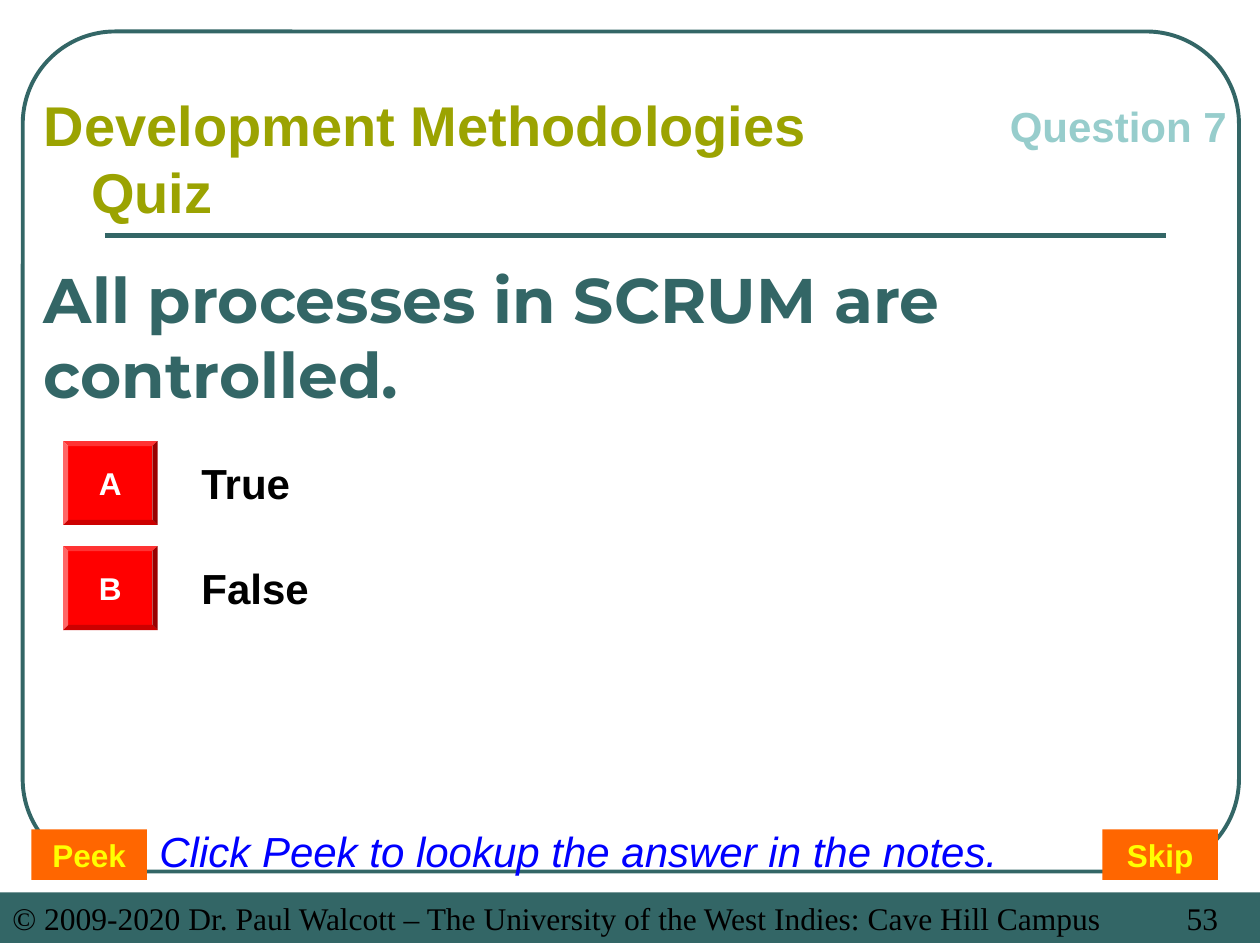
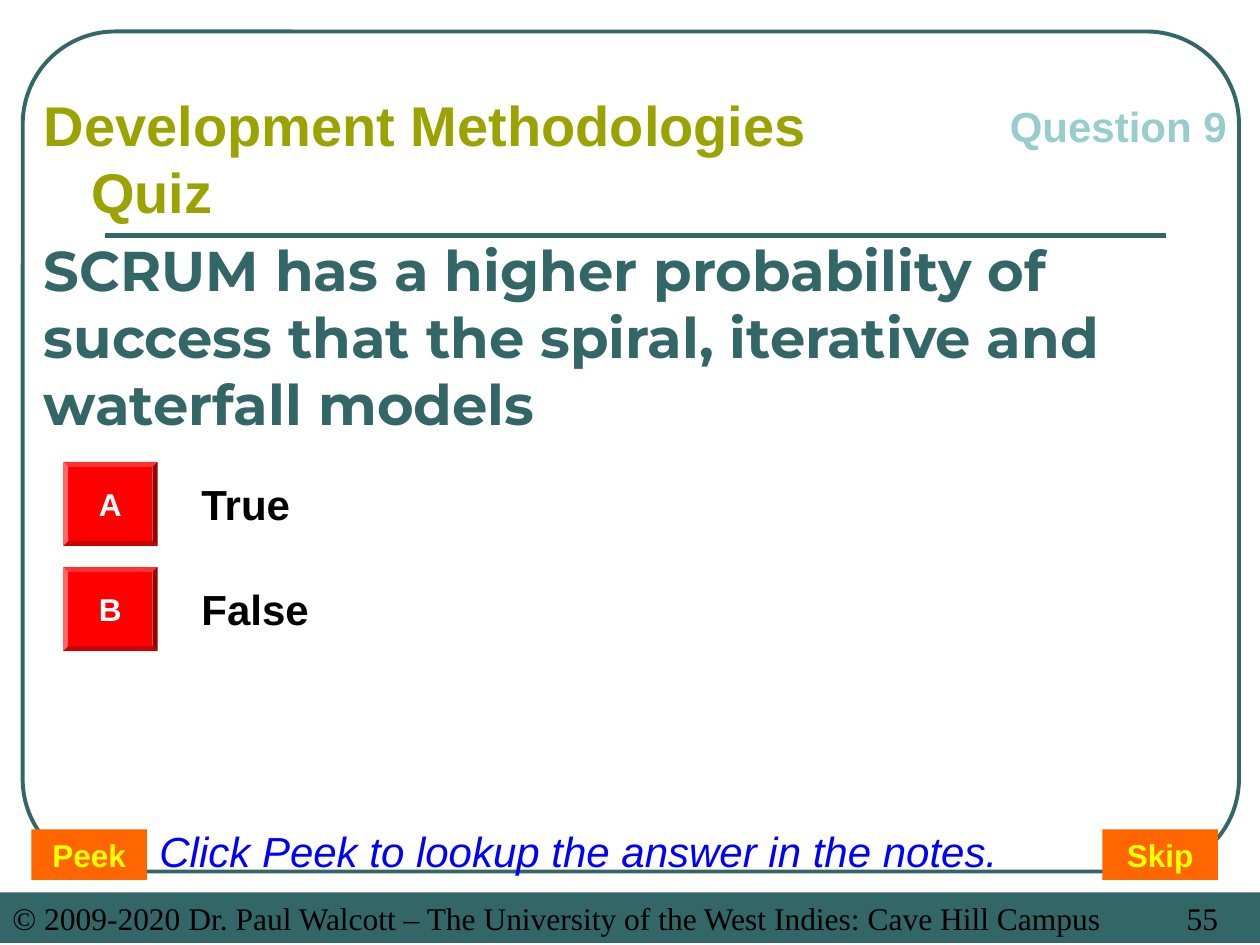
from lxml import etree
from pptx import Presentation
from pptx import util as u
from pptx.dml.color import RGBColor
from pptx.enum import shapes, text
from pptx.oxml import ns

TEAL = "336666"
OLIVE = "9BA301"
MINT = "97CDCC"
RED = "FF0000"
ORANGE = "FF6600"
YELLOW = "FFFF00"
BLUE = "0000FF"
BLACK = "000000"
WHITE = "FFFFFF"

LEFT = text.PP_ALIGN.LEFT
MID = text.PP_ALIGN.CENTER
KIND = shapes.MSO_SHAPE

HEAD = "Development Methodologies Quiz"
HINT = "Click Peek to lookup the answer in the notes."
OWNER = "© 2009-2020 Dr. Paul Walcott – The University of the West Indies: Cave Hill Campus"
QUIZ = [
    (53, 7, "All processes in SCRUM are controlled.", 36, 252),
    (55, 9, "SCRUM has a higher probability of success that the spiral, "
            "iterative and waterfall models", 32, 264),
]


def hue(code):
    """Turn a hex string into a colour."""
    return RGBColor.from_string(code)


class Deck:
    """Holds the style and the current slide."""

    def __init__(self):
        """Start an empty deck of 720 by 540 points."""
        self.prs = Presentation()
        self.prs.slide_width, self.prs.slide_height = u.Pt(720), u.Pt(540)

    def page(self):
        """Add a blank slide and make it current."""
        self.items = self.prs.slides.add_slide(self.prs.slide_layouts[6]).shapes

    def letter(self, shape, words, size, color, font="Arial", bold=True,
               italic=False, align=LEFT, hang=0, tab=0, wrap=True,
               anchor=text.MSO_ANCHOR.TOP):
        """Fill a shape with one styled paragraph."""
        frame = shape.text_frame
        frame.text = words
        frame.word_wrap = wrap
        frame.vertical_anchor = anchor
        para = frame.paragraphs[0]
        para.alignment = align
        props = para._p.get_or_add_pPr()
        if hang:
            props.set("marL", str(u.Pt(hang)))
            props.set("indent", str(-u.Pt(hang)))
        if tab:
            stops = etree.SubElement(props, ns.qn("a:tabLst"))
            etree.SubElement(stops, ns.qn("a:tab"), pos=str(u.Pt(tab)), algn="l")
        for run in para.runs:
            run.font.name, run.font.size = font, u.Pt(size)
            run.font.bold, run.font.italic = bold, italic
            run.font.color.rgb = hue(color)

    def label(self, box, words, size, color, **style):
        """Add a text box."""
        self.letter(self.items.add_textbox(*map(u.Pt, box)), words, size, color, **style)

    def block(self, kind, box, fill=None, line=None, adj=None):
        """Add a preset shape with a fill or an outline."""
        shape = self.items.add_shape(kind, *map(u.Pt, box))
        shape.shadow.inherit = False
        if adj is not None:
            shape.adjustments[0] = adj
        if fill:
            shape.fill.solid()
            shape.fill.fore_color.rgb = hue(fill)
        else:
            shape.fill.background()
        if line:
            shape.line.color.rgb = hue(line)
            shape.line.width = u.Pt(2.25)
        else:
            shape.line.fill.background()
        return shape

    def rule(self, left, right, top):
        """Add a level line."""
        line = self.items.add_connector(
            shapes.MSO_CONNECTOR.STRAIGHT, *map(u.Pt, (left, top, right, top)))
        line.line.color.rgb = hue(TEAL)
        line.line.width = u.Pt(3)
        etree.SubElement(line._element.spPr, ns.qn("a:effectLst"))

    def button(self, left, words):
        """Add an orange button above the footer."""
        shape = self.block(KIND.RECTANGLE, (left, 474, 66, 28.8), ORANGE)
        self.letter(shape, words, 18, YELLOW, align=MID)

    def choice(self, top, key, words):
        """Add a lettered bevel with its answer."""
        shape = self.block(KIND.BEVEL, (36, top, 54, 48), RED, adj=0.06)
        self.letter(shape, key, 18, WHITE, align=MID, wrap=False,
                    anchor=text.MSO_ANCHOR.MIDDLE)
        self.label((108, top + 6, 594, 36), words, 24, BLACK, hang=27)

    def base(self, page):
        """Add the frame, the rule and the footer band."""
        self.block(KIND.ROUNDED_RECTANGLE, (13, 18, 695, 480), line=TEAL, adj=0.11)
        self.rule(60, 666, 134.6)
        band = self.block(KIND.RECTANGLE, (0, 510, 720, 28.8), TEAL)
        self.letter(band, f"{OWNER}\t{page}", 18, BLACK, "Times New Roman",
                    bold=False, tab=671)

    def quiz(self, page, number, ask, size, top):
        """Build one question slide."""
        self.page()
        self.base(page)
        self.label((18, 138, 684, 108), ask, size, TEAL, font="Montserrat",
                   anchor=text.MSO_ANCHOR.MIDDLE)
        for row, (key, words) in enumerate((("A", "True"), ("B", "False"))):
            self.choice(top + 60 * row, key, words)
        self.label((570, 54, 150, 36), f"Question {number}", 24, MINT)
        self.label((18, 48, 468, 84), HEAD, 32, OLIVE, hang=27)
        self.button(18, "Peek")
        self.button(630, "Skip")
        self.label((84, 468, 516, 36), HINT, 24, BLUE, bold=False, italic=True)


def main():
    """Build and save the deck."""
    deck = Deck()
    for item in QUIZ:
        deck.quiz(*item)
    deck.prs.save("out.pptx")


if __name__ == "__main__":
    main()
